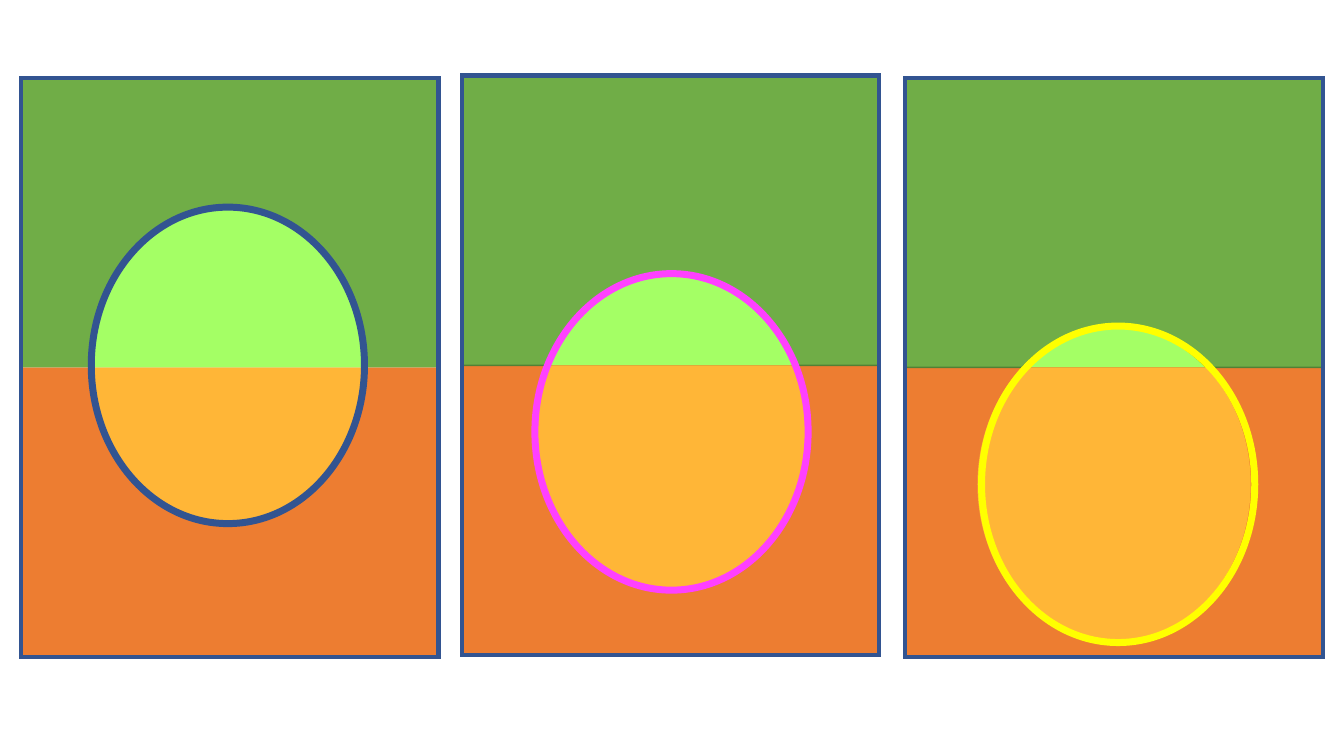
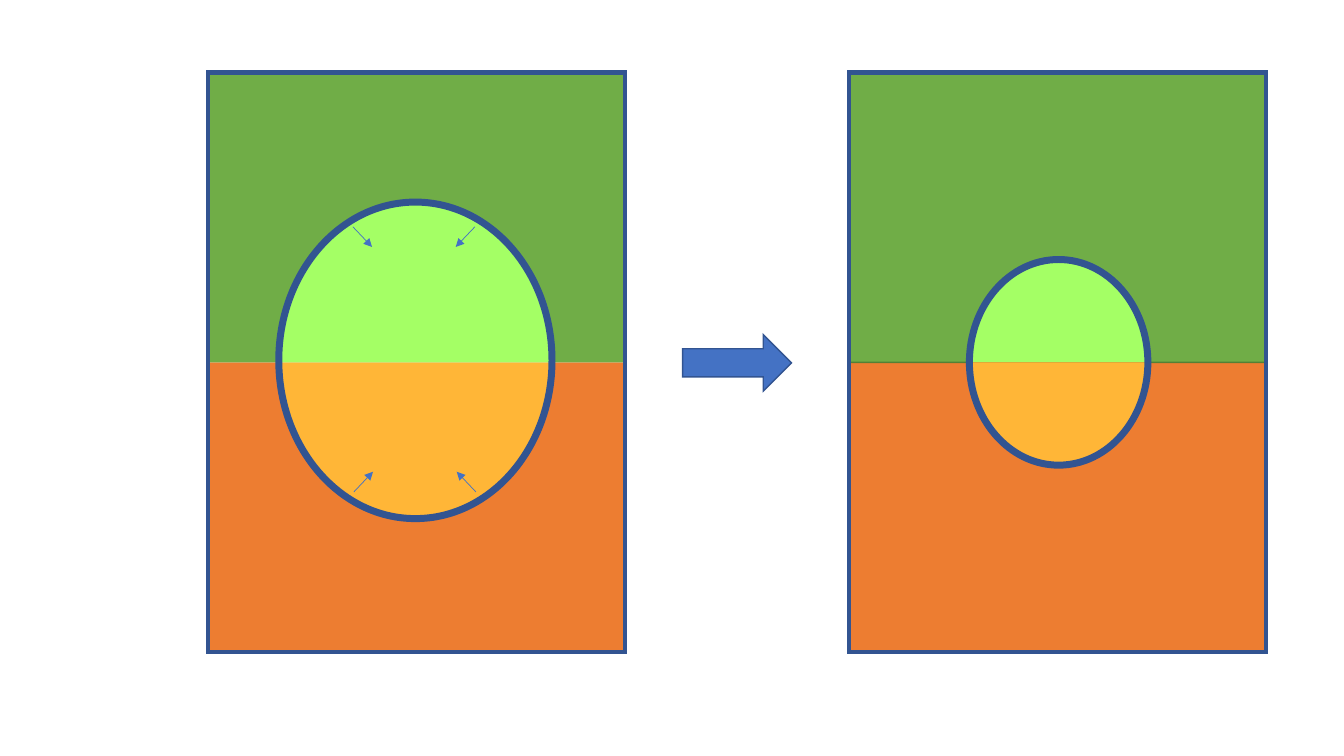
import math

from lxml import etree
from pptx import Presentation
from pptx.dml.color import RGBColor
from pptx.enum.shapes import MSO_CONNECTOR, MSO_SHAPE
from pptx.oxml.ns import qn
from pptx.util import Inches, Pt

RECTANGLE = MSO_SHAPE.RECTANGLE
RIGHT_ARROW = MSO_SHAPE.RIGHT_ARROW
STRAIGHT = MSO_CONNECTOR.STRAIGHT

COLORS = {
    "green": "70AD47",
    "green_edge": "538035",
    "light_green": "A4FF65",
    "orange": "ED7D31",
    "orange_edge": "AF5C24",
    "light_orange": "FFB637",
    "navy": "325491",
    "blue": "4472C4",
    "pink": "FF40FF",
    "yellow": "FFFF00",
}

SLIDE_SIZE = (13.33, 7.5)
PANEL_WIDTH, PANEL_HEIGHT = 4.14, 5.75
HALF_HEIGHT = PANEL_HEIGHT / 2
LARGE_LENS, SMALL_LENS = (2.71, 3.14), (1.77, 2.04)
ARROW_REACH = (0.19, 0.2)
QUARTER = math.pi / 2

SLIDES = [
    {
        "panels": [
            {"corner": (0.21, 0.77), "middle": 2.28, "drop": 0, "lens": LARGE_LENS,
             "ring": "navy", "shift": (-0.02, -0.02), "edged": False},
            {"corner": (4.58, 0.75), "middle": 6.65, "drop": 0.66, "lens": LARGE_LENS,
             "ring": "pink", "shift": (0.01, 0), "edged": True},
            {"corner": (8.98, 0.77), "middle": 11.05, "drop": 1.16, "lens": LARGE_LENS,
             "ring": "yellow", "shift": (0.04, 0), "edged": True},
        ],
        "shrink_arrows": [],
        "block_arrows": [],
    },
    {
        "panels": [
            {"corner": (2.06, 0.72), "middle": 4.14, "drop": 0, "lens": LARGE_LENS,
             "ring": "navy", "shift": (-0.02, -0.02), "edged": False},
            {"corner": (8.42, 0.72), "middle": 10.5, "drop": 0, "lens": SMALL_LENS,
             "ring": "navy", "shift": (0, 0), "edged": True},
        ],
        "shrink_arrows": [
            ((3.5, 2.25), (1, 1)),
            ((4.71, 2.25), (-1, 1)),
            ((3.51, 4.88), (1, -1)),
            ((4.72, 4.88), (-1, -1)),
        ],
        "block_arrows": [(6.77, 3.32, 1.08, 0.56)],
    },
]


def color(name):
    return RGBColor.from_string(COLORS[name])


def set_line(line, name, width):
    line.color.rgb = color(name)
    line.width = Pt(width)
    outline = line._get_or_add_ln()
    etree.SubElement(outline, qn("a:miter"), lim="800000")
    return outline


def set_format(shape, fill=None, line=None, width=1):
    shape.shadow.inherit = False
    if fill:
        shape.fill.solid()
        shape.fill.fore_color.rgb = color(fill)
    else:
        shape.fill.background()
    if line:
        set_line(shape.line, line, width)
    else:
        shape.line.fill.background()


def add_box(slide, kind, bounds, **style):
    shape = slide.shapes.add_shape(kind, *map(Inches, bounds))
    set_format(shape, **style)


def straight(*points):
    return [[point] for point in points]


def arc(center, lens, start, end):
    def place(x, y):
        return center[0] + lens[0] / 2 * x, center[1] + lens[1] / 2 * y

    low, high = sorted((start, end))
    turns = [turn * QUARTER for turn in range(-4, 9)
             if low + 0.01 < turn * QUARTER < high - 0.01]
    cuts = [low, *turns, high]
    if start > end:
        cuts.reverse()
    steps = [[place(math.cos(start), math.sin(start))]]
    for first, last in zip(cuts, cuts[1:]):
        pull = 4 / 3 * math.tan((last - first) / 4)
        steps.append([
            place(math.cos(first) - pull * math.sin(first),
                  math.sin(first) + pull * math.cos(first)),
            place(math.cos(last) + pull * math.sin(last),
                  math.sin(last) - pull * math.cos(last)),
            place(math.cos(last), math.sin(last)),
        ])
    return steps


def add_outline(slide, contours, **style):
    builder = None
    for contour in contours:
        points = [tuple(map(Inches, point)) for step in contour for point in step]
        if builder is None:
            builder = slide.shapes.build_freeform(*points[0])
        else:
            builder.move_to(*points[0])
        builder.add_line_segments(points[1:], close=True)
    shape = builder.convert_to_shape()
    segments = iter(list(shape._element.iter(qn("a:lnTo"))))
    for contour in contours:
        for step in contour[1:]:
            parts = [next(segments) for _ in step]
            if len(parts) == 3:
                curve = etree.Element(qn("a:cubicBezTo"))
                parts[0].addprevious(curve)
                for part in parts:
                    curve.append(part[0])
                    part.getparent().remove(part)
    set_format(shape, **style)


def add_panel(slide, corner, middle, drop, lens, edged):
    left, top = corner
    right, seam, bottom = left + PANEL_WIDTH, top + HALF_HEIGHT, top + PANEL_HEIGHT
    center = (middle, seam + drop)
    chord = math.asin(-drop / (lens[1] / 2))
    west, east = math.pi - chord, 2 * math.pi + chord
    lower_cap = arc(center, lens, chord, west)
    upper_cap = arc(center, lens, west, east)
    notched = [straight((left, top), (right, top), (right, seam))
               + [[upper_cap[-1][-1]]] + arc(center, lens, east, west)[1:]
               + straight((left, seam))]

    if edged:
        add_box(slide, RECTANGLE, (left, seam, PANEL_WIDTH, HALF_HEIGHT),
                fill="orange", line="orange_edge")
    else:
        add_outline(slide, [lower_cap], fill="light_orange")
        field = straight((left, seam), (right, seam), (right, bottom), (left, bottom))
        add_outline(slide, [field, arc(center, lens, west, chord)], fill="orange")
    add_outline(slide, [upper_cap], fill="light_green")
    add_outline(slide, notched, fill="green", line="green_edge" if edged else None)
    if edged:
        add_outline(slide, [lower_cap], fill="light_orange")
    add_box(slide, RECTANGLE, (left, top, PANEL_WIDTH, PANEL_HEIGHT),
            line="navy", width=3)


def add_ring(slide, corner, middle, drop, lens, ring, shift):
    center = (middle + shift[0], corner[1] + HALF_HEIGHT + drop + shift[1])
    circuit = arc(center, lens, -QUARTER, 3 * QUARTER)
    add_outline(slide, [circuit], line=ring, width=5)


def add_shrink_arrow(slide, start, direction):
    end = [place + sign * reach
           for place, sign, reach in zip(start, direction, ARROW_REACH)]
    arrow = slide.shapes.add_connector(STRAIGHT, *map(Inches, (*start, *end)))
    outline = set_line(arrow.line, "blue", 0.5)
    etree.SubElement(outline, qn("a:tailEnd"), type="triangle")
    etree.SubElement(arrow._element.spPr, qn("a:effectLst"))


def main():
    deck = Presentation()
    deck.slide_width, deck.slide_height = map(Inches, SLIDE_SIZE)
    blank = deck.slide_layouts[6]
    for content in SLIDES:
        slide = deck.slides.add_slide(blank)
        for panel in content["panels"]:
            add_panel(slide, **{key: value for key, value in panel.items()
                                if key not in ("ring", "shift")})
        for panel in content["panels"]:
            add_ring(slide, **{key: value for key, value in panel.items()
                               if key != "edged"})
        for start, direction in content["shrink_arrows"]:
            add_shrink_arrow(slide, start, direction)
        for bounds in content["block_arrows"]:
            add_box(slide, RIGHT_ARROW, bounds, fill="blue", line="navy")
    deck.save("out.pptx")


if __name__ == "__main__":
    main()
